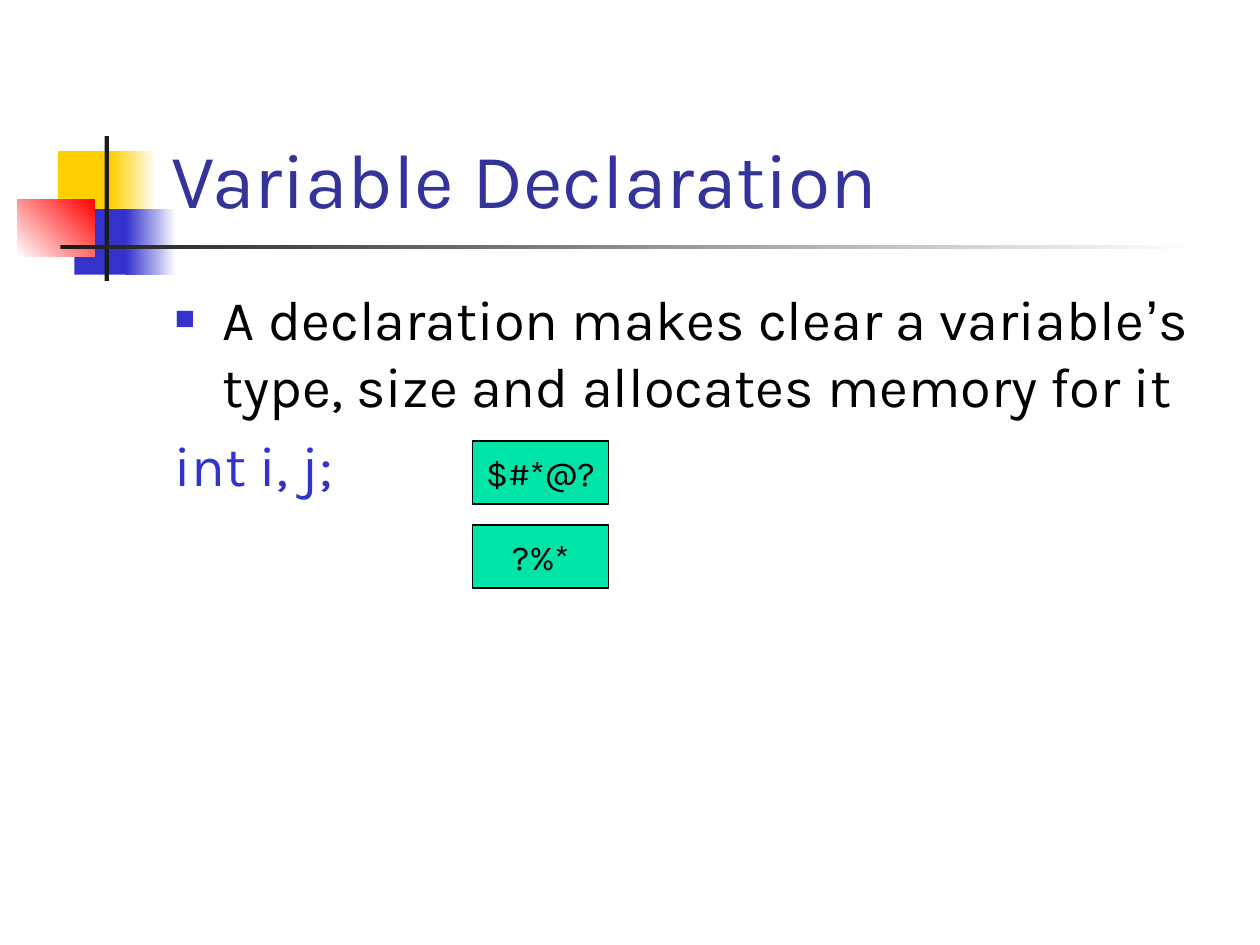
import dataclasses
import pptx
import pptx.util
import pptx.dml.color
import pptx.enum.shapes
import pptx.enum.text
import pptx.oxml
import pptx.oxml.ns
import lxml.etree

ALIGN = pptx.enum.text.PP_ALIGN
ANCHOR = pptx.enum.text.MSO_ANCHOR


@dataclasses.dataclass(frozen=True)
class Theme:
    font: str = "Karla"
    mark: str = "Arial"
    head: str = "333399"
    ink: str = "000000"
    blue: str = "3333CC"
    gold: str = "FFCF01"
    red: str = "FF0000"
    dark: str = "1C1C1C"
    mint: str = "00E4A8"
    white: str = "FFFFFF"
    title: int = 44
    body: int = 32
    label: int = 20


class Deck:
    COLS, ROWS = 100, 75

    def __init__(self, theme):
        self.theme = theme
        self.file = pptx.Presentation()
        self.file.slide_width = pptx.util.Inches(10)
        self.file.slide_height = pptx.util.Inches(7.5)
        self.slide = self.file.slides.add_slide(self.file.slide_layouts[5])

    def place(self, col, row, wide, high):
        x = self.file.slide_width / self.COLS
        y = self.file.slide_height / self.ROWS
        return [round(n) for n in (col * x, row * y, wide * x, high * y)]

    def rgb(self, color):
        return pptx.dml.color.RGBColor.from_string(color)

    def style(self, para, size, color, align=ALIGN.LEFT):
        para.alignment = align
        para.font.name = self.theme.font
        para.font.size = pptx.util.Pt(size)
        para.font.color.rgb = self.rgb(color)

    def title(self, text, *cell):
        shape = self.slide.shapes.title
        shape.left, shape.top, shape.width, shape.height = self.place(*cell)
        frame = shape.text_frame
        frame.text = text
        frame.auto_size = pptx.enum.text.MSO_AUTO_SIZE.NONE
        frame.vertical_anchor = ANCHOR.BOTTOM
        self.style(frame.paragraphs[0], self.theme.title, self.theme.head)

    def block(self, cell, color, fade=None, angle=0):
        shape = self.slide.shapes.add_shape(
            pptx.enum.shapes.MSO_SHAPE.RECTANGLE, *self.place(*cell))
        shape.shadow.inherit = False
        shape.line.fill.background()
        if fade:
            shape.fill.gradient()
            shape.fill.gradient_angle = angle
            for stop, tone in zip(shape.fill.gradient_stops, (color, fade)):
                stop.color.rgb = self.rgb(tone)
        else:
            shape.fill.solid()
            shape.fill.fore_color.rgb = self.rgb(color)
        return shape

    def box(self, text, *cell):
        shape = self.block(cell, self.theme.mint)
        shape.line.color.rgb = self.rgb(self.theme.ink)
        shape.line.width = pptx.util.Pt(0.75)
        frame = shape.text_frame
        frame.text = text
        frame.word_wrap = False
        frame.vertical_anchor = ANCHOR.MIDDLE
        self.style(frame.paragraphs[0], self.theme.label, self.theme.ink, ALIGN.CENTER)

    def bullet(self, props):
        for tag, key, value in (("buSzPct", "val", "60000"),
                                ("buFont", "typeface", self.theme.mark),
                                ("buChar", "char", "■")):
            lxml.etree.SubElement(props, pptx.oxml.ns.qn("a:" + tag)).set(key, value)
        tint = pptx.oxml.parse_xml(
            f'<a:buClr {pptx.oxml.ns.nsdecls("a")}>'
            f'<a:srgbClr val="{self.theme.blue}"/></a:buClr>')
        props.find(pptx.oxml.ns.qn("a:buSzPct")).addprevious(tint)

    def body(self, items, *cell):
        frame = self.slide.shapes.add_textbox(*self.place(*cell)).text_frame
        frame.word_wrap = True
        hang = pptx.util.Inches(0.38)
        for i, (runs, color, dot) in enumerate(items):
            para = frame.add_paragraph() if i else frame.paragraphs[0]
            para.space_before = pptx.util.Pt(self.theme.body * 0.2)
            props = para._p.get_or_add_pPr()
            props.set("marL", str(hang))
            props.set("indent", str(-hang))
            if dot:
                self.bullet(props)
            self.style(para, self.theme.body, color)
            for text, font in runs:
                run = para.add_run()
                run.text = text
                if font:
                    run.font.name = font


def main():
    look = Theme()
    deck = Deck(look)
    for col, row, wide, tail, color in ((4.6, 12, 4.8, (8.8, 3.6), look.gold),
                                        (5.9, 16.6, 4.6, (10, 4), look.blue)):
        deck.block((col, row, wide, 5.2), color)
        deck.block((tail[0], row, tail[1], 5.2), color, look.white)
    deck.block((1.4, 15.8, 6.1, 4.6), look.white, look.red, 45)
    deck.block((8.3, 10.8, 0.35, 11.5), look.dark)
    deck.block((4.8, 19.45, 90, 0.35), look.dark, look.white)

    deck.title("Variable Declaration", 12.6, 2.3, 85.2, 16)
    deck.body([
        ([("A declaration makes clear a variable", None), ("’", look.mark),
          ("s type, size and allocates memory for it", None)], look.ink, True),
        ([("int i, j;", None)], look.blue, False),
    ], 12.9, 22.1, 85, 45)
    for i, text in enumerate(("$#*@?", "?%*")):
        deck.box(text, 37.5, 35 + 6.67 * i, 10.8, 5)
    deck.file.save("out.pptx")


if __name__ == "__main__":
    main()
